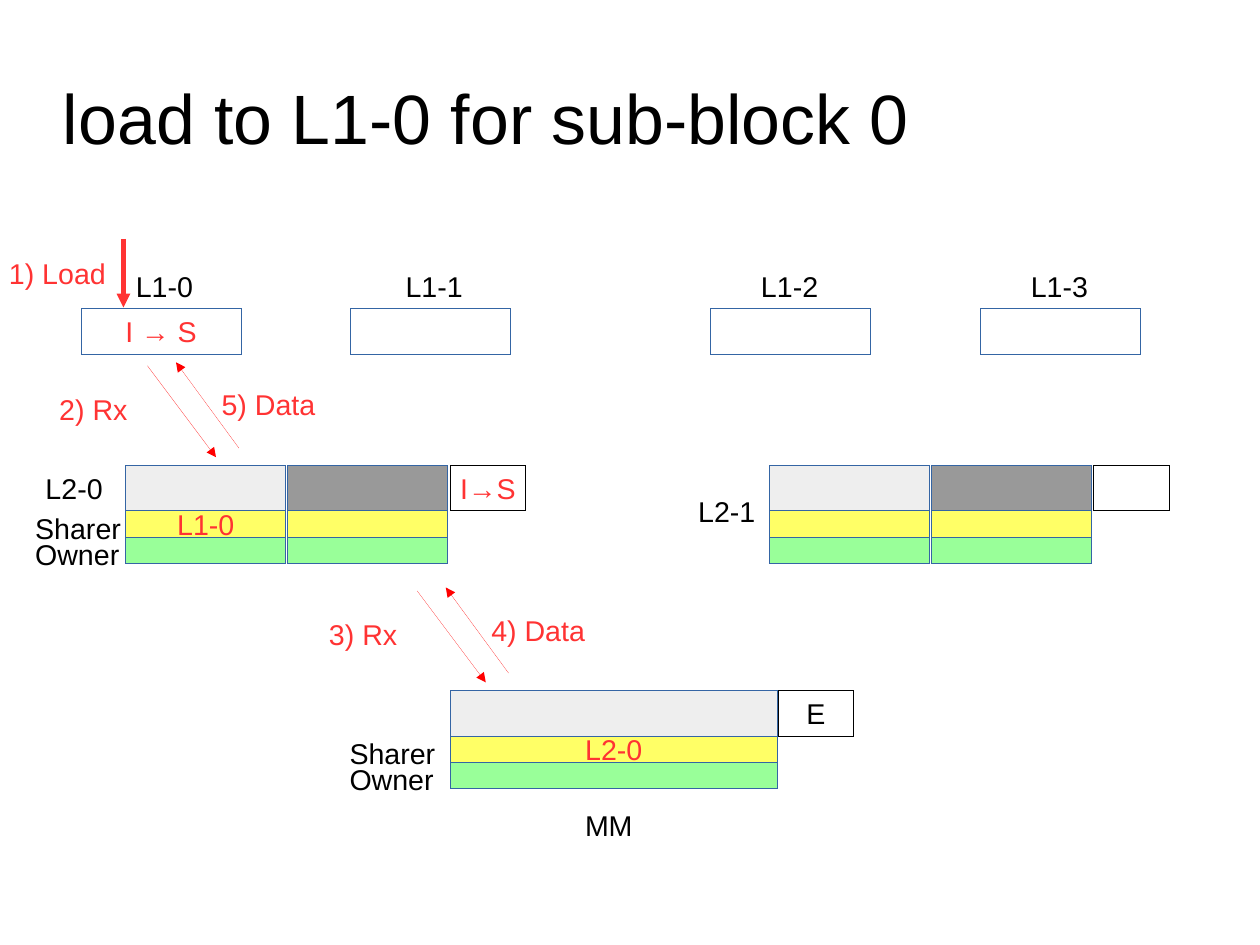
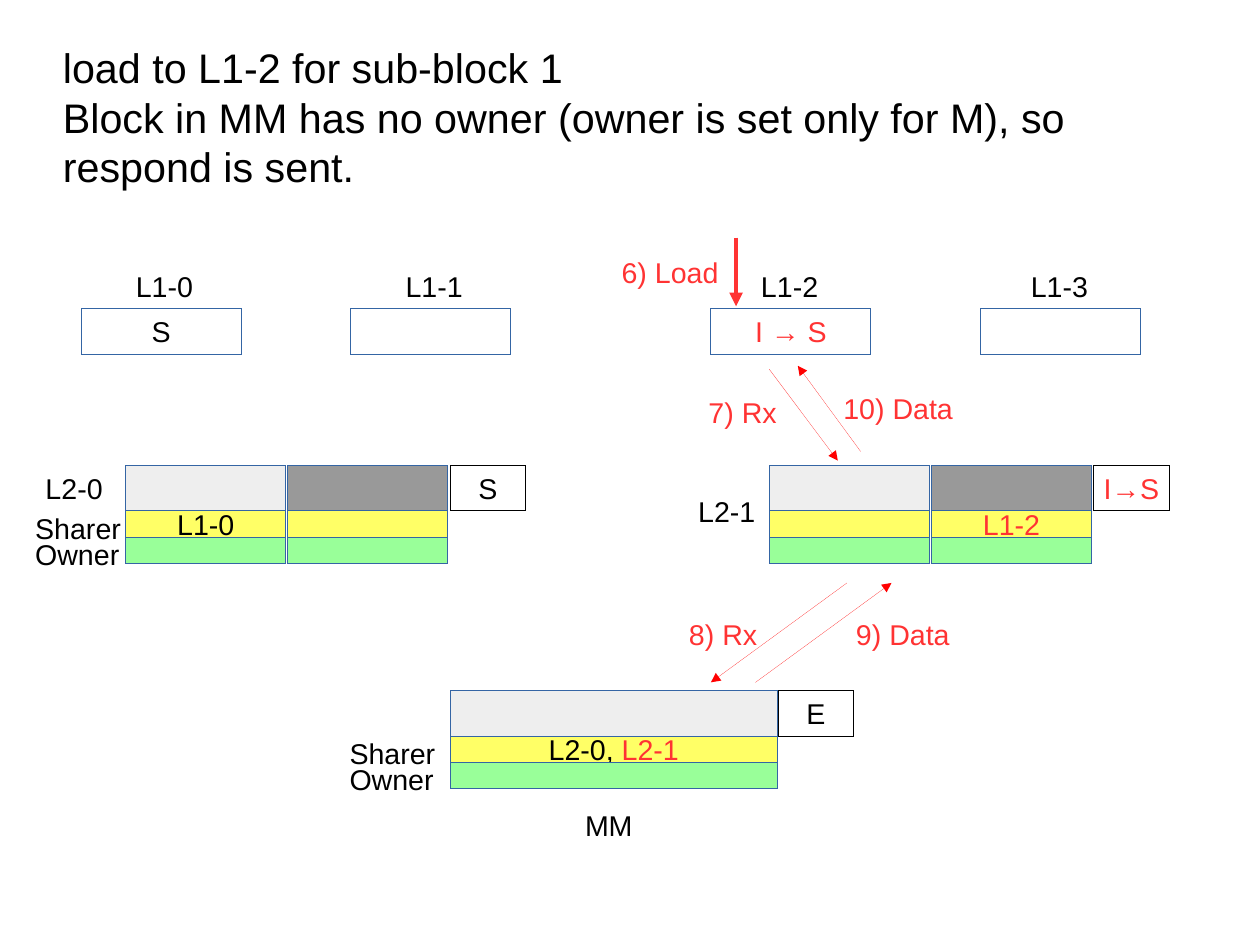
import pptx
import pptx.dml.color
import pptx.enum.shapes
import pptx.enum.text
import pptx.oxml
import pptx.oxml.ns
import pptx.util
from pptx.util import Inches

COLORS = {
    "black": "000000",
    "white": "FFFFFF",
    "outline": "3465A4",
    "new": "FF3333",
    "message": "FF0000",
    "light": "EEEEEE",
    "dark": "999999",
    "sharer": "FFFF66",
    "owner": "99FF99",
}
FONT = "Arial"
BODY_SIZE = 18
HAIRLINE = 0.01

CELL_HEIGHT = 0.4
DIRECTORY_HEIGHT = 0.23
L1_TOP = 2.7
L1_WIDTH = 1.4
L1_STEP = 2.36
L1_GROUPS = ((0.71, 0.38), (6.22, 0.34))  # first left, label offset
L2_TOP = 4.07
MEMORY_TOP = 6.04
STATE_WIDTH = 0.66


def rgb(name):
    return pptx.dml.color.RGBColor.from_string(COLORS[name])


def add_run(paragraph, text, color="black", size=BODY_SIZE):
    run = paragraph.add_run()
    run.text = text
    run.font.name = FONT
    run.font.size = pptx.util.Pt(size)
    run.font.color.rgb = rgb(color)


def set_title(slide, lines, size):
    title = slide.shapes.title
    title.left, title.top = Inches(0.55), Inches(0.33)
    title.width, title.height = Inches(9.92), Inches(1.38)
    frame = title.text_frame
    frame.auto_size = pptx.enum.text.MSO_AUTO_SIZE.NONE
    frame.word_wrap = True
    frame.vertical_anchor = pptx.enum.text.MSO_ANCHOR.MIDDLE
    frame.margin_left = frame.margin_right = 0
    frame.margin_top = frame.margin_bottom = 0
    paragraph = frame.paragraphs[0]
    paragraph.alignment = pptx.enum.text.PP_ALIGN.LEFT
    for index, line in enumerate(lines):
        if index:
            paragraph.add_line_break()
        add_run(paragraph, line, size=size)


def add_label(slide, left, top, text, color="black", width=0.9):
    label = slide.shapes.add_textbox(
        Inches(left), Inches(top), Inches(width), Inches(0.38))
    label.text_frame.word_wrap = True
    add_run(label.text_frame.paragraphs[0], text, color)


def add_cell(slide, left, top, width, height, fill="white", line="outline", runs=()):
    """Add a rectangle whose centred text is a sequence of (text, colour) runs."""
    cell = slide.shapes.add_shape(
        pptx.enum.shapes.MSO_SHAPE.RECTANGLE,
        Inches(left), Inches(top), Inches(width), Inches(height))
    cell.shadow.inherit = False
    cell.fill.solid()
    cell.fill.fore_color.rgb = rgb(fill)
    cell.line.color.rgb = rgb(line)
    cell.line.width = pptx.util.Pt(HAIRLINE)
    if runs:
        frame = cell.text_frame
        frame.word_wrap = False
        frame.vertical_anchor = pptx.enum.text.MSO_ANCHOR.MIDDLE
        paragraph = frame.paragraphs[0]
        paragraph.alignment = pptx.enum.text.PP_ALIGN.CENTER
        for text, color in runs:
            add_run(paragraph, text, color)


def add_arrow(slide, start, end, color="message", width=HAIRLINE):
    arrow = slide.shapes.add_connector(
        pptx.enum.shapes.MSO_CONNECTOR.STRAIGHT,
        *(Inches(value) for value in (*start, *end)))
    arrow.line.color.rgb = rgb(color)
    arrow.line.width = pptx.util.Pt(width)
    namespace = pptx.oxml.ns.nsdecls("a")
    properties = arrow._element.spPr
    properties.find(pptx.oxml.ns.qn("a:ln")).append(
        pptx.oxml.parse_xml(f'<a:tailEnd {namespace} type="triangle"/>'))
    properties.append(pptx.oxml.parse_xml(f"<a:effectLst {namespace}/>"))


def add_l1_row(slide, states):
    """Add the four L1 caches; states maps a cache number to its runs."""
    for number in range(4):
        group, place = divmod(number, 2)
        first_left, label_offset = L1_GROUPS[group]
        left = first_left + place * L1_STEP
        add_cell(slide, left, L1_TOP, L1_WIDTH, CELL_HEIGHT,
                 runs=states.get(number, ()))
        add_label(slide, left + label_offset, L1_TOP - 0.4, f"L1-{number}")


def add_block(slide, left, top, width, fills, sharers, state, gap=0.02):
    """Add data cells over their sharer and owner rows, with a state box at right."""
    sharer_top = top + CELL_HEIGHT
    owner_top = sharer_top + DIRECTORY_HEIGHT
    for index, fill in enumerate(fills):
        cell_left = left + index * (width + gap)
        add_cell(slide, cell_left, top, width, CELL_HEIGHT, fill)
        add_cell(slide, cell_left, sharer_top, width, DIRECTORY_HEIGHT, "sharer",
                 runs=sharers.get(index, ()))
        add_cell(slide, cell_left, owner_top, width, DIRECTORY_HEIGHT, "owner")
    add_cell(slide, left + len(fills) * (width + gap), top, STATE_WIDTH,
             CELL_HEIGHT, line="black", runs=state)


def add_directory_labels(slide, left, block_top):
    add_label(slide, left, block_top + 0.35, "Sharer", width=1)
    add_label(slide, left, block_top + 0.58, "Owner", width=1)


def add_load(slide, left, top, text):
    add_arrow(slide, (left, top), (left, top + 0.6), "new", 2.89)
    add_label(slide, left - 1.1, top + 0.1, text, "new", 1.06)


def add_steep_exchange(slide, left, top, request, reply, request_offset=-0.87):
    """Add a request going down to the right and the reply coming back."""
    add_arrow(slide, (left, top), (left + 0.6, top + 0.8))
    add_label(slide, left + request_offset, top + 0.18, request, "new", 0.8)
    add_arrow(slide, (left + 0.8, top + 0.72), (left + 0.25, top - 0.03))
    add_label(slide, left + 0.55, top + 0.14, reply, "new", 1.22)


def add_slanted_exchange(slide, left, top, request, reply):
    """Add a request going down to the left and the reply coming back."""
    run, drop, spacing = 1.19, 0.87, 0.39
    add_arrow(slide, (left + run, top), (left, top + drop))
    add_label(slide, left - 0.29, top + 0.25, request, "new", 0.8)
    add_arrow(slide, (left + spacing, top + drop), (left + spacing + run, top))
    add_label(slide, left + 1.17, top + 0.25, reply, "new", 1.22)


def add_hierarchy_slide(presentation, title, title_size, l1_states,
                        l2_sharers, l2_states, memory_sharers):
    slide = presentation.slides.add_slide(presentation.slide_layouts[5])
    set_title(slide, title, title_size)
    add_l1_row(slide, l1_states)
    for left, sharers, state in zip((1.1, 6.73), l2_sharers, l2_states):
        add_block(slide, left, L2_TOP, 1.4, ("light", "dark"), sharers, state)
    add_block(slide, 3.94, MEMORY_TOP, 2.86, ("light",), {0: memory_sharers},
              [("E", "black")], gap=0.01)
    add_label(slide, 0.3, L2_TOP, "L2-0")
    add_label(slide, 6.01, L2_TOP + 0.2, "L2-1")
    add_label(slide, 5.02, 7.02, "MM")
    add_directory_labels(slide, 0.21, L2_TOP)
    add_directory_labels(slide, 2.96, MEMORY_TOP)
    return slide


def add_first_load(presentation):
    slide = add_hierarchy_slide(
        presentation, ["load to L1-0 for sub-block 0"], 44,
        l1_states={0: [("I → S", "new")]},
        l2_sharers=({0: [("L1-0", "new")]}, {}),
        l2_states=([("I→S", "new")], ()),
        memory_sharers=[("L2-0", "new")])
    add_load(slide, 1.08, 2.09, "1) Load")
    add_steep_exchange(slide, 1.29, 3.2, "2) Rx", "5) Data")
    add_steep_exchange(slide, 3.65, 5.17, "3) Rx", "4) Data")


def add_second_load(presentation):
    slide = add_hierarchy_slide(
        presentation,
        ["load to L1-2 for sub-block 1",
         "Block in MM has no owner (owner is set only for M), so respond is sent."],
        26,
        l1_states={0: [("S", "black")], 2: [("I → S", "new")]},
        l2_sharers=({0: [("L1-0", "black")]}, {1: [("L1-2", "new")]}),
        l2_states=([("S", "black")], [("I→S", "new")]),
        memory_sharers=[("L2-0, ", "black"), ("L2-1", "new")])
    add_load(slide, 6.44, 2.08, "6) Load")
    add_steep_exchange(slide, 6.73, 3.23, "7) Rx", "10) Data", -0.63)
    add_slanted_exchange(slide, 6.22, 5.1, "8) Rx", "9) Data")


def main():
    presentation = pptx.Presentation()
    # 28 by 21 centimetres, which two decimals of an inch cannot hold
    presentation.slide_width = Inches(28 / 2.54)
    presentation.slide_height = Inches(21 / 2.54)
    add_first_load(presentation)
    add_second_load(presentation)
    presentation.save("out.pptx")


if __name__ == "__main__":
    main()
